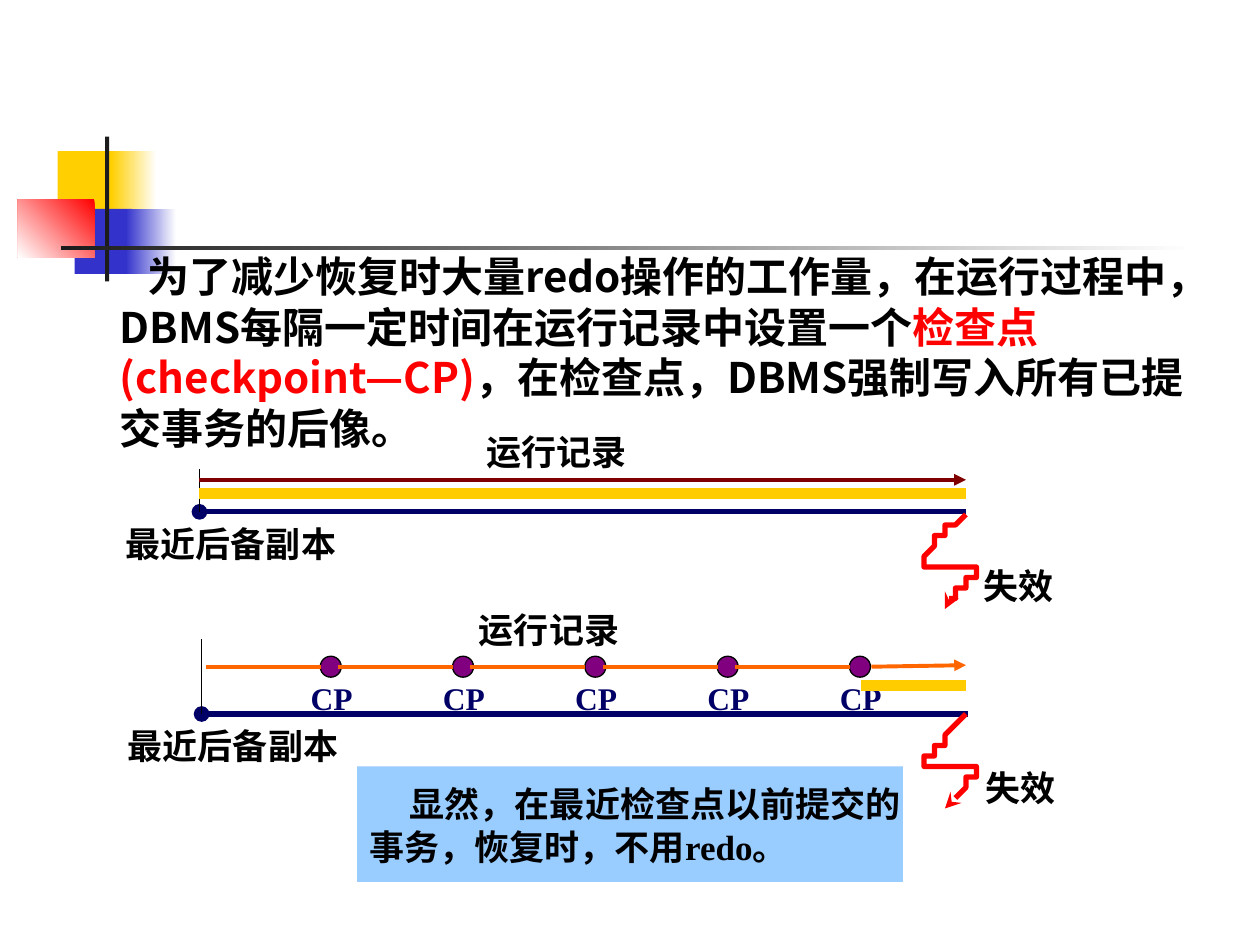
from dataclasses import dataclass

from lxml import etree
from pptx import Presentation
from pptx.dml.color import RGBColor
from pptx.enum.shapes import MSO_CONNECTOR, MSO_SHAPE
from pptx.enum.text import MSO_ANCHOR, MSO_AUTO_SIZE, PP_ALIGN
from pptx.oxml.ns import qn
from pptx.util import Inches, Pt

STRAIGHT = MSO_CONNECTOR.STRAIGHT
RECTANGLE, DISK = MSO_SHAPE.RECTANGLE, MSO_SHAPE.FLOWCHART_CONNECTOR
TOP, MIDDLE = MSO_ANCHOR.TOP, MSO_ANCHOR.MIDDLE
LEFT, CENTER = PP_ALIGN.LEFT, PP_ALIGN.CENTER
NO_AUTOSIZE = MSO_AUTO_SIZE.NONE

SLIDE_WIDTH, SLIDE_HEIGHT = Inches(10), Inches(7.5)
CELL = SLIDE_WIDTH / 120  # the slide is a grid of 120 columns and 90 rows


@dataclass(frozen=True)
class Theme:
    black: str = "000000"
    white: str = "FFFFFF"
    charcoal: str = "1C1C1C"
    gold: str = "FFCF01"
    blue: str = "3333CC"
    red: str = "FF0000"
    navy: str = "000066"
    maroon: str = "800000"
    orange: str = "FF6600"
    yellow: str = "FFCC00"
    purple: str = "800080"
    sky: str = "99CCFF"
    sans: str = "Noto Sans CJK SC"
    serif: str = "Times New Roman"
    body_size: float = 24
    label_size: float = 20
    checkpoint_size: float = 18


THEME = Theme()


def cells(*counts):
    return [round(count * CELL) for count in counts]


def rgb(color):
    return RGBColor.from_string(color)


def write(frame, paragraphs, size=THEME.label_size, font=THEME.serif, color=THEME.black,
          align=LEFT, anchor=MIDDLE, wrap=False, first_indent=0, leading=None):
    """Fill a frame; each paragraph is a list of (text, colour or None) runs."""
    frame.auto_size = NO_AUTOSIZE
    frame.word_wrap = wrap
    frame.vertical_anchor = anchor
    for index, runs in enumerate(paragraphs):
        paragraph = frame.add_paragraph() if index else frame.paragraphs[0]
        properties = paragraph._p.get_or_add_pPr()
        properties.set("marL", "0")
        properties.set("indent", str(0 if index else Inches(first_indent)))
        etree.SubElement(properties, qn("a:buNone"))
        paragraph.alignment = align
        paragraph.space_before = Pt(0)
        if leading:
            paragraph.line_spacing = Pt(leading)
        for text, run_color in runs:
            run = paragraph.add_run()
            run.text = text
            run.font.size, run.font.bold, run.font.name = Pt(size), True, font
            run.font.color.rgb = rgb(run_color or color)
            east_asian = etree.SubElement(run.font._element, qn("a:ea"))
            east_asian.set("typeface", THEME.sans)


def label(slide, text, column, row, width=18, height=6, **style):
    box = slide.shapes.add_textbox(*cells(column, row, width, height))
    write(box.text_frame, [[(text, None)]], **style)


def block(slide, place, color, kind=RECTANGLE, fade_angle=None, outline=None):
    """Add a filled shape; fade_angle is the direction from colour 1 to 2."""
    shape = slide.shapes.add_shape(kind, *cells(*place))
    shape.shadow.inherit = False
    if fade_angle is None:
        shape.fill.solid()
        shape.fill.fore_color.rgb = rgb(color)
    else:
        shape.fill.gradient()
        shape.fill.gradient_angle = fade_angle
        for stop, stop_color in zip(shape.fill.gradient_stops, color):
            stop.color.rgb = rgb(stop_color)
    if outline:
        shape.line.color.rgb = rgb(outline)
        shape.line.width = Pt(0.75)
    else:
        shape.line.fill.background()
    return shape


def style_line(line, color, width, head=None, tail=None):
    line.color.rgb = rgb(color)
    line.width = Pt(width)
    for tag, arrow in (("a:headEnd", head), ("a:tailEnd", tail)):
        if arrow:
            etree.SubElement(line._get_or_add_ln(), qn(tag)).set("type", arrow)


def rule(slide, start, end, color, width, **ends):
    connector = slide.shapes.add_connector(STRAIGHT, *cells(*start, *end))
    style_line(connector.line, color, width, **ends)
    etree.SubElement(connector._element.spPr, qn("a:effectLst"))


def bezier(points, steps=16):
    """Points along a cubic curve, without its first point."""
    for step in range(1, steps + 1):
        t = step / steps
        weights = ((1 - t) ** 3, 3 * t * (1 - t) ** 2, 3 * t * t * (1 - t), t ** 3)
        yield tuple(sum(w * p[axis] for w, p in zip(weights, points)) for axis in (0, 1))


def failure_squiggle(slide, column, row):
    offsets = [(0, 0), (-2.1, 2), (-4.2, 4.1), (-4.1, 4.9), (-3.8, 5.8),
               (0.6, 4.3), (1, 4.9), (1.3, 5.6), (-1.6, 8.3), (-2, 9)]
    knots = [(column + x, row + y) for x, y in offsets]
    curve = [point for i in (0, 3, 6) for point in bezier(knots[i:i + 4])]
    builder = slide.shapes.build_freeform(*knots[0], scale=CELL)
    builder.add_line_segments(curve, close=False)
    squiggle = builder.convert_to_shape()
    squiggle.shadow.inherit = False
    squiggle.fill.background()
    style_line(squiggle.line, THEME.red, 3, tail="stealth")


def recovery_lane(slide, column, row, tick_height, log_label):
    """Timeline from the latest backup to the failure."""
    end = column + 73
    rule(slide, (column, row), (end, row), THEME.navy, 3, head="oval")
    rule(slide, (column, row - tick_height), (column, row), THEME.black, 0.75)
    label(slide, "最近后备副本", column - 6, row, align=CENTER)
    failure_squiggle(slide, end, row)
    label(slide, "失效", column + 69, row + 4, align=CENTER)
    label(slide, "运行记录", *log_label, align=CENTER)


def checkpoints(slide, count=5, first=30.5, pitch=12.6, row=62.5):
    for index in range(count):
        column = first + index * pitch
        block(slide, (column, row, 2, 2), THEME.purple, DISK, outline=THEME.black)
        label(slide, "CP", column - 2.1, row + 1.6, 6.4, 4.8, anchor=TOP,
              size=THEME.checkpoint_size, color=THEME.navy)
    log_row = row + 1
    for index in range(count):
        start = first - 10.9 + index * pitch
        rule(slide, (start, log_row), (start + 10.95, log_row), THEME.orange, 2.25)
    rule(slide, (83, log_row), (92, log_row - 0.15), THEME.orange, 2.25, tail="triangle")


def corner_ornament(slide):
    block(slide, (5.5, 14.4, 5.8, 6.2), THEME.gold)
    block(slide, (10.6, 14.4, 4.3, 6.2), (THEME.white, THEME.gold), fade_angle=180)
    block(slide, (7.1, 19.9, 5.5, 6.2), THEME.blue)
    block(slide, (12, 19.9, 4.8, 6.2), (THEME.white, THEME.blue), fade_angle=180)
    block(slide, (1.7, 19, 7.3, 5.5), (THEME.red, THEME.white), fade_angle=225)
    block(slide, (10, 13, 0.4, 13.8), THEME.charcoal)
    block(slide, (5.8, 23.4, 108, 0.4), (THEME.white, THEME.charcoal), fade_angle=180)


def introduction(slide):
    body = slide.placeholders[1]
    body.left, body.top, body.width, body.height = cells(10.2, 23.3, 104, 25.2)
    body.element.getparent().append(body.element)  # in front of the ornament
    write(body.text_frame, [[
        ("为了减少恢复时大量redo操作的工作量，在运行过程中，DBMS每隔一定时间在运行记录中设置一个", None),
        ("检查点(checkpoint—CP)", THEME.red),
        ("，在检查点，DBMS强制写入所有已提交事务的后像。", None),
    ]], size=THEME.body_size, font=THEME.sans, anchor=TOP, wrap=True,
        first_indent=0.22, leading=28.8)


def conclusion(slide):
    panel = block(slide, (34, 73, 52, 11), THEME.sky)
    panel.text_frame.margin_right = 0
    write(panel.text_frame, [[("显然，在最近检查点以前提交的", None)],
                             [("事务，恢复时，不用redo。", None)]],
          wrap=True, first_indent=0.32, leading=25)


def main():
    deck = Presentation()
    deck.slide_width, deck.slide_height = SLIDE_WIDTH, SLIDE_HEIGHT
    slide = deck.slides.add_slide(deck.slide_layouts[1])
    title = slide.shapes.title.element
    title.getparent().remove(title)

    corner_ornament(slide)
    introduction(slide)
    recovery_lane(slide, 19, 48.75, tick_height=4.1, log_label=(44, 40))
    rule(slide, (19, 45.7), (92, 45.7), THEME.maroon, 2.25, tail="triangle")
    recovery_lane(slide, 19.2, 68, tick_height=7.1, log_label=(43.3, 57))
    checkpoints(slide)
    for start, row in ((82, 65.3), (19, 47)):
        rule(slide, (start, row), (92, row), THEME.yellow, 6)
    conclusion(slide)
    deck.save("out.pptx")


if __name__ == "__main__":
    main()
